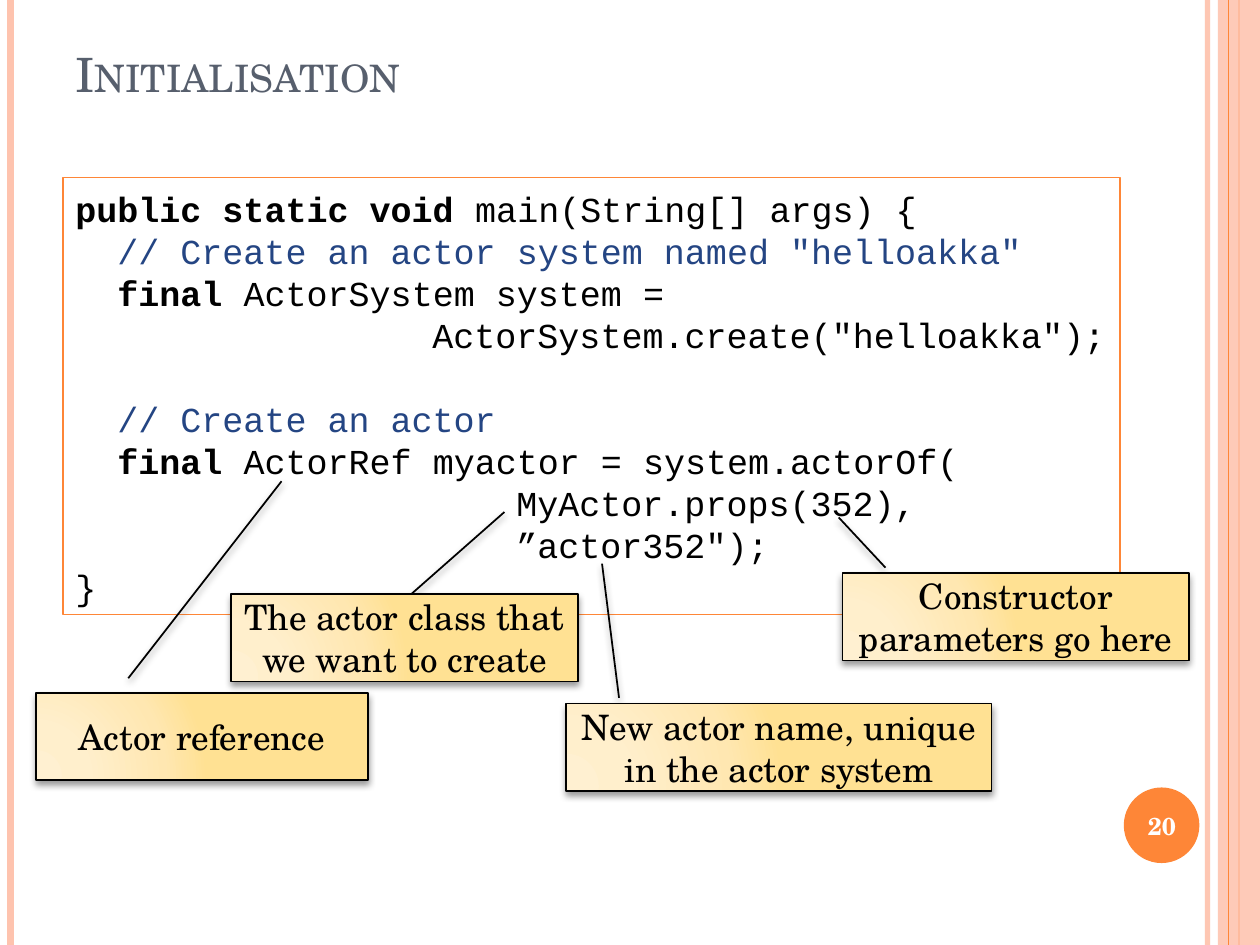
from dataclasses import dataclass

from lxml import etree
from pptx import Presentation
from pptx.dml.color import RGBColor
from pptx.enum import shapes, text
from pptx.oxml import ns, parse_xml
from pptx.util import Pt


@dataclass(frozen=True)
class Theme:
    serif: str = "TeX Gyre Schola"
    mono: str = "Courier New"
    black: str = "000000"
    white: str = "FFFFFF"
    heading: str = "575F6D"
    comment: str = "244583"
    orange: str = "FE8637"
    peach: str = "FEC3AE"
    cream: tuple = ((0, "FFF0D1"), (30, "FFEFCC"), (75, "FFE7B1"), (100, "FFE193"))
    title_size: int = 27
    body_size: int = 20
    number_size: int = 14


THEME = Theme()
CHAR_WIDTH = 12
LINE_HEIGHT = 24

# Each line: indent in characters, blank lines above, (words, style) spans
CODE = [
    (0, 0, [("public static void ", "keyword"), ("main(String[] args) {", "plain")]),
    (2, 0, [('// Create an actor system named "helloakka"', "comment")]),
    (2, 0, [("final ", "keyword"), ("ActorSystem system =", "plain")]),
    (17, 0, [('ActorSystem.create("helloakka");', "plain")]),
    (2, 1, [("// Create an actor", "comment")]),
    (2, 0, [("final ", "keyword"), ("ActorRef myactor = system.actorOf(", "plain")]),
    (21, 0, [("MyActor.props(352),", "plain")]),
    (21, 0, [('”actor352");', "plain")]),
    (0, 0, [("}", "plain")]),
]

# Each callout: words, left, top, width, line start and end as (y, x) shares of the box
CALLOUTS = [
    ("The actor class that we want to create", 132.2, 339.6, 198,
     (-0.009, 0.521, -0.944, 0.788)),
    ("Constructor parameters go here", 481.4, 327.6, 198,
     (-0.066, 0.124, -0.641, -0.011)),
    ("New actor name, unique in the actor system", 323.6, 402, 243,
     (-0.066, 0.124, -1.605, 0.084)),
    ("Actor reference", 20.6, 396, 189.6,
     (-0.17, 0.278, -2.43, 0.74)),
]
CALLOUT_HEIGHT = 49.8


def set_alpha(color_format, percent):
    """Make a solid fill or line colour partly transparent."""
    color = color_format._xFill.find(ns.qn("a:srgbClr"))
    etree.SubElement(color, ns.qn("a:alpha")).set("val", str(percent * 1000))


def add_span(para, words, font=THEME.serif, size=THEME.body_size,
             color=THEME.black, bold=False, small_caps=False):
    span = para.add_run()
    span.text = words
    span.font.name = font
    span.font.size = Pt(size)
    span.font.bold = bold
    span.font.color.rgb = RGBColor.from_string(color)
    if small_caps:
        span.font._element.set("cap", "small")


def prepare_frame(box, anchor, align):
    frame = box.text_frame
    frame.word_wrap = True
    frame.auto_size = text.MSO_AUTO_SIZE.NONE
    frame.vertical_anchor = anchor
    frame.paragraphs[0].alignment = align
    return frame


def add_shape(page, kind, left, top, width, height, fill=None, line=None, alpha=None):
    shape = page.shapes.add_shape(kind, Pt(left), Pt(top), Pt(width), Pt(height))
    shape.shadow.inherit = False
    if fill:
        shape.fill.solid()
        shape.fill.fore_color.rgb = RGBColor.from_string(fill)
        if alpha:
            set_alpha(shape.fill.fore_color, alpha)
    else:
        shape.fill.background()
    if line:
        shape.line.color.rgb = RGBColor.from_string(line)
        shape.line.width = Pt(0.75)
    else:
        shape.line.fill.background()
    return shape


def add_rail(page, x, color, width, alpha=None):
    """Draw a vertical line over the full page height."""
    rail = page.shapes.add_connector(shapes.MSO_CONNECTOR.STRAIGHT,
                                     Pt(x), Pt(0), Pt(x), Pt(540))
    rail.line.color.rgb = RGBColor.from_string(color)
    rail.line.width = Pt(width)
    if alpha:
        set_alpha(rail.line.color, alpha)
    etree.SubElement(rail._element.spPr, ns.qn("a:effectLst"))


def add_frame_decor(page):
    add_rail(page, 690, THEME.peach, 3, alpha=93)
    add_rail(page, 6, THEME.peach, 4.5)
    add_rail(page, 708, THEME.orange, 1.5)
    add_shape(page, shapes.MSO_SHAPE.RECTANGLE, 696, 0, 24, 540, THEME.peach, alpha=87)
    add_rail(page, 702, THEME.orange, 0.75)
    add_shape(page, shapes.MSO_SHAPE.OVAL, 642.2, 450, 43.2, 43.2, THEME.orange)


def add_title(page, words):
    title = page.shapes.title
    title.left, title.top, title.width, title.height = Pt(36), Pt(21.6), Pt(588), Pt(40.3)
    frame = prepare_frame(title, text.MSO_ANCHOR.BOTTOM, text.PP_ALIGN.LEFT)
    add_span(frame.paragraphs[0], words, size=THEME.title_size,
             color=THEME.heading, small_caps=True)


def add_page_number(page, number):
    box = page.shapes.add_textbox(Pt(640), Pt(451.4), Pt(48), Pt(41))
    frame = prepare_frame(box, text.MSO_ANCHOR.MIDDLE, text.PP_ALIGN.CENTER)
    add_span(frame.paragraphs[0], number, size=THEME.number_size,
             color=THEME.white, bold=True)


def add_code(page, lines):
    box = add_shape(page, shapes.MSO_SHAPE.RECTANGLE, 36, 101.5, 604, 249.8,
                    line=THEME.orange)
    frame = prepare_frame(box, text.MSO_ANCHOR.TOP, text.PP_ALIGN.LEFT)
    frame.margin_top = Pt(5.6)
    for index, (indent, gap, spans) in enumerate(lines):
        para = frame.add_paragraph() if index else frame.paragraphs[0]
        para.alignment = text.PP_ALIGN.LEFT
        para.line_spacing = Pt(LINE_HEIGHT)
        para.space_before = Pt(gap * LINE_HEIGHT)
        para._p.get_or_add_pPr().set("marL", str(Pt(indent * CHAR_WIDTH)))
        for words, style in spans:
            add_span(para, words, font=THEME.mono, bold=style == "keyword",
                     color=THEME.comment if style == "comment" else THEME.black)


def add_glow_fill(shape):
    """Give the shape the cream radial gradient and a soft shadow below."""
    stops = "".join(f'<a:gs pos="{place * 1000}"><a:srgbClr val="{color}"/></a:gs>'
                    for place, color in THEME.cream)
    gradient = parse_xml(
        f'<a:gradFill {ns.nsdecls("a")}><a:gsLst>{stops}</a:gsLst><a:path path="circle">'
        '<a:fillToRect l="5000" t="100000" r="120000" b="10000"/></a:path></a:gradFill>')
    properties = shape._element.spPr
    properties.replace(properties.find(ns.qn("a:noFill")), gradient)
    shadow = parse_xml(
        f'<a:outerShdw {ns.nsdecls("a")} blurRad="{Pt(4)}" dist="{Pt(2)}" dir="5400000" '
        f'rotWithShape="0"><a:srgbClr val="{THEME.black}"><a:alpha val="40000"/>'
        '</a:srgbClr></a:outerShdw>')
    properties.find(ns.qn("a:effectLst")).append(shadow)


def add_callout(page, words, left, top, width, pointer):
    callout = add_shape(page, shapes.MSO_SHAPE.LINE_CALLOUT_1, left, top, width,
                        CALLOUT_HEIGHT, line=THEME.black)
    callout.line.width = Pt(1)
    for index, share in enumerate(pointer):
        callout.adjustments[index] = share
    add_glow_fill(callout)
    frame = prepare_frame(callout, text.MSO_ANCHOR.MIDDLE, text.PP_ALIGN.CENTER)
    add_span(frame.paragraphs[0], words)


def main():
    deck = Presentation()
    deck.slide_width, deck.slide_height = Pt(720), Pt(540)
    page = deck.slides.add_slide(deck.slide_layouts[5])
    add_frame_decor(page)
    add_title(page, "Initialisation")
    add_page_number(page, "20")
    add_code(page, CODE)
    for callout in CALLOUTS:
        add_callout(page, *callout)
    deck.save("out.pptx")


if __name__ == "__main__":
    main()
